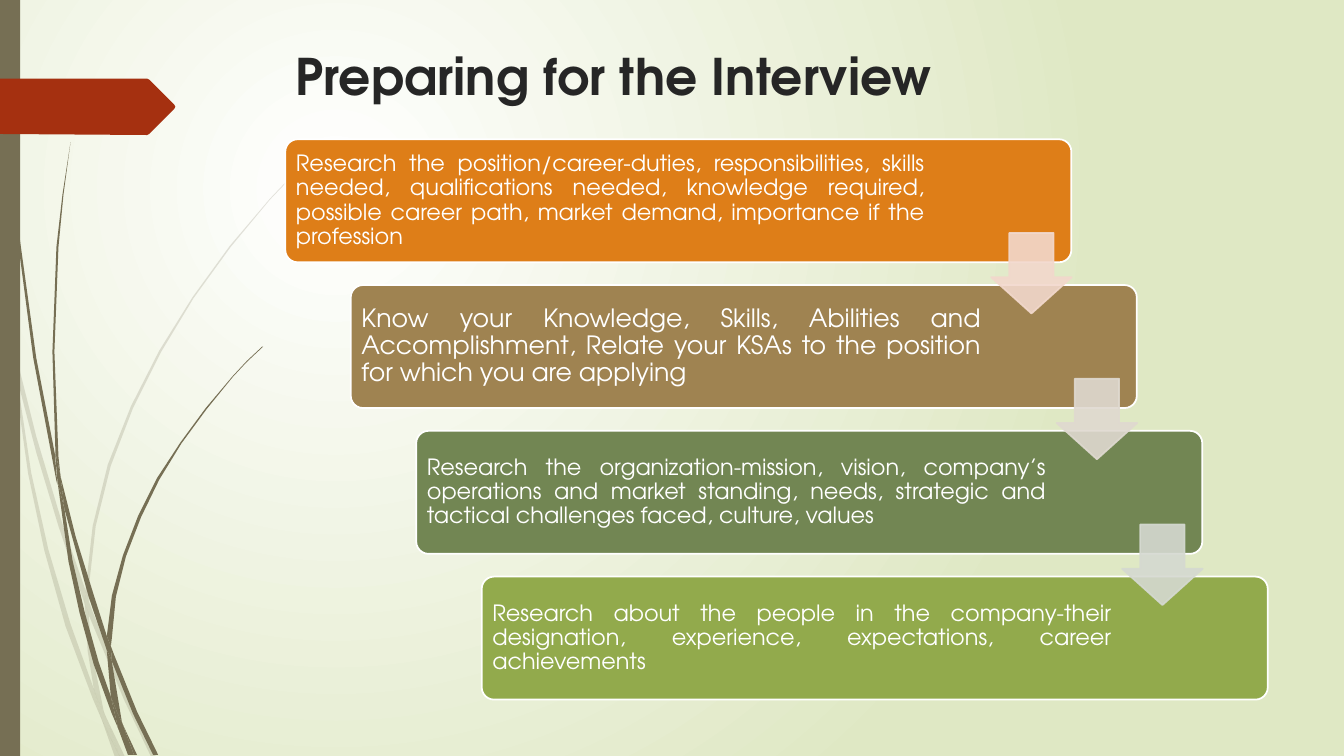
from lxml import etree
from pptx import Presentation, util as u
from pptx.dml.color import RGBColor
from pptx.enum import shapes, text
from pptx.oxml import ns

FONT = "TeX Gyre Adventor"
KIND = shapes.MSO_SHAPE
WIDE, HIGH = 33.87, 19.05
GRID = 0.0254
BARK = "766F54"

PALE = [
    "11,350 9,322 0,282 0,299 10,344",
    "58,522 84,599 85,586 62,520 36,433 14,345 17,376 36,449",
    "92,607 88,596 88,610 123,694 150,751 155,751 127,692",
    "119,751 124,751 105,711",
    "93,683 70,619 48,545 31,469 17,376 11,350 28,470 44,546 65,621 92,693 101,714 99,707",
    "84,599 87,646 93,683 96,692 105,711 103,706 91,646 88,610 88,608",
    "88,584 95,522 110,462 132,405 160,349 192,296 229,245 268,198 290,175 312,154 "
    "312,153 289,175 268,197 228,244 191,295 158,348 130,403 107,461 92,522 85,584 "
    "85,586 88,596",
    "101,714 114,751 119,751",
    "88,608 88,610 88,596 85,586 84,599",
    "96,692 93,683 99,707 101,714 119,751 105,711",
]
DARK = [
    "7,110 17,233 33,355 56,477 57,481 55,457 55,453 36,355 19,232 8,109 5,48 4,0 3,0 4,48",
    "88,592 106,645 106,633 106,631 93,590 75,532 60,472 64,505",
    "113,649 110,641 111,656 132,708 152,749 157,749 136,706",
    "110,691 98,657 84,607 72,556 64,505 57,477 68,557 79,608 93,659 111,708 117,722 116,717",
    "60,472 58,453 54,349 58,245 63,193 70,141 62,193 56,245 52,349 55,449",
    "133,749 136,749 122,719",
    "57,477 64,505 60,472 55,449 55,453",
    "111,633 115,592 125,552 140,513 158,476 180,440 205,406 231,374 245,359 261,344 "
    "260,344 245,358 231,373 204,405 179,439 156,474 137,512 122,551 111,591 106,631 110,641",
    "117,722 127,749 131,749",
    "106,645 110,691 116,706 122,719 121,716 111,656 109,651",
    "106,645 109,651 111,656 110,641 106,631 106,633",
    "116,706 110,691 116,717 117,722 130,749 133,749 122,719",
]
TAG = "173,108 148,133 146,134 0,133 0,78 146,78 148,79 173,104 174,106"
STEPS = [
    ("Research the position/career-duties, responsibilities, skills needed, qualifications "
     "needed, knowledge required, possible career path, market demand, importance if the "
     "profession", "DE7E18", 16, 3.6),
    ("Know your Knowledge, Skills, Abilities and Accomplishment, Relate your KSAs to the "
     "position for which you are applying", "9F8351", 18, 3.84),
    ("Research the organization-mission, vision, company’s operations and market standing, "
     "needs, strategic and tactical challenges faced, culture, values", "728653", 16, 3.84),
    ("Research about the people in the company-their designation, experience, expectations, "
     "career achievements", "92AA4C", 16, 3.84),
]
ARROWS = ["F2D8CC", "DFD9D0", "D5D9D1"]


def tint(fill, color, alpha=100):
    fill.solid()
    fill.fore_color.rgb = RGBColor.from_string(color)
    if alpha < 100:
        for rgb in fill._xPr.iter(ns.qn("a:srgbClr")):
            etree.SubElement(rgb, ns.qn("a:alpha"), val=str(alpha * 1000))


def style(shape, color, alpha=100, edge=None):
    shape.shadow.inherit = False
    tint(shape.fill, color, alpha)
    if edge:
        shape.line.width = u.Pt(1.25)
        tint(shape.line.fill, edge, alpha)
    else:
        shape.line.fill.background()
    return shape


def block(slide, kind, box, color, adjust=(), **look):
    shape = slide.shapes.add_shape(kind, *map(u.Cm, box))
    for i, value in enumerate(adjust):
        shape.adjustments[i] = value
    return style(shape, color, **look)


def write(shape, words, size, color, bold=False, align=text.PP_ALIGN.LEFT,
          space=1.0, pads=(0.25, 0.13, 0.25, 0.13)):
    frame = shape.text_frame
    frame.word_wrap = True
    frame.auto_size = text.MSO_AUTO_SIZE.NONE
    frame.vertical_anchor = text.MSO_ANCHOR.MIDDLE
    (frame.margin_left, frame.margin_top,
     frame.margin_right, frame.margin_bottom) = map(u.Cm, pads)
    para = frame.paragraphs[0]
    para.alignment, para.line_spacing = align, space
    run = para.add_run()
    run.text = words
    run.font.name, run.font.size, run.font.bold = FONT, u.Pt(size), bold
    run.font.color.rgb = RGBColor.from_string(color)


def trace(slide, box, dots, color, alpha=100):
    edge = [tuple(map(int, dot.split(","))) for dot in dots.split()]
    build = slide.shapes.build_freeform(*edge[0], scale=u.Cm(GRID))
    build.add_line_segments(edge[1:])
    shape = build.convert_to_shape(u.Cm(box[0]), u.Cm(box[1]))
    style(shape, color, alpha)


def decor(slide, box):
    x, y, wide, high = box
    for group, alpha in ((PALE, 20), (DARK, 100)):
        for dots in group:
            trace(slide, box, dots, BARK, alpha)
    block(slide, KIND.RECTANGLE, (x, y, 0.51, high), BARK)
    trace(slide, box, TAG, "A53010")


def stairs(slide, box):
    x, y, wide, high = box
    w, h, side = 19.81, 3.1, 2.03
    last = len(STEPS) - 1
    dx, dy = (wide - w) / last, (high - h) / last
    for i, (words, color, size, right) in enumerate(STEPS):
        card = block(slide, KIND.ROUNDED_RECTANGLE, (x + i * dx, y + i * dy, w, h),
                     color, [0.1], edge="FFFFFF")
        write(card, words, size, "FFFFFF", align=text.PP_ALIGN.JUSTIFY, space=0.9,
              pads=(0.18, 0.18, right, 0.18))
    for i, color in enumerate(ARROWS):
        spot = (x + i * dx + w - 2.02, y + i * dy + 2.36, side, side)
        block(slide, KIND.DOWN_ARROW, spot, color, [0.55, 0.45], alpha=90, edge=color)


def heading(slide, box, words):
    title = slide.shapes.title
    title.left, title.top, title.width, title.height = map(u.Cm, box)
    write(title, words, 36, "262626", bold=True)


def backdrop(slide):
    fill = slide.background.fill
    fill.gradient()
    for stop, color, spot in zip(fill.gradient_stops, ("FFFFFF", "DFE8C4"), (0, 1)):
        stop.color.rgb = RGBColor.from_string(color)
        stop.position = spot
    grad = next(slide.element.iter(ns.qn("a:gradFill")))
    for line in grad.findall(ns.qn("a:lin")):
        grad.remove(line)
    ring = etree.Element(ns.qn("a:path"), path="circle")
    etree.SubElement(ring, ns.qn("a:fillToRect"), l="50000", t="50000", r="100000", b="100000")
    grad.find(ns.qn("a:gsLst")).addnext(ring)


deck = Presentation()
deck.slide_width, deck.slide_height = u.Cm(WIDE), u.Cm(HIGH)
page = deck.slides.add_slide(deck.slide_layouts[5])
backdrop(page)
decor(page, (0, 0, WIDE, HIGH))
heading(page, (7.2, 0.94, 24.77, 1.93), "Preparing for the Interview")
stairs(page, (7.19, 3.51, 24.76, 14.12))
deck.save("out.pptx")
